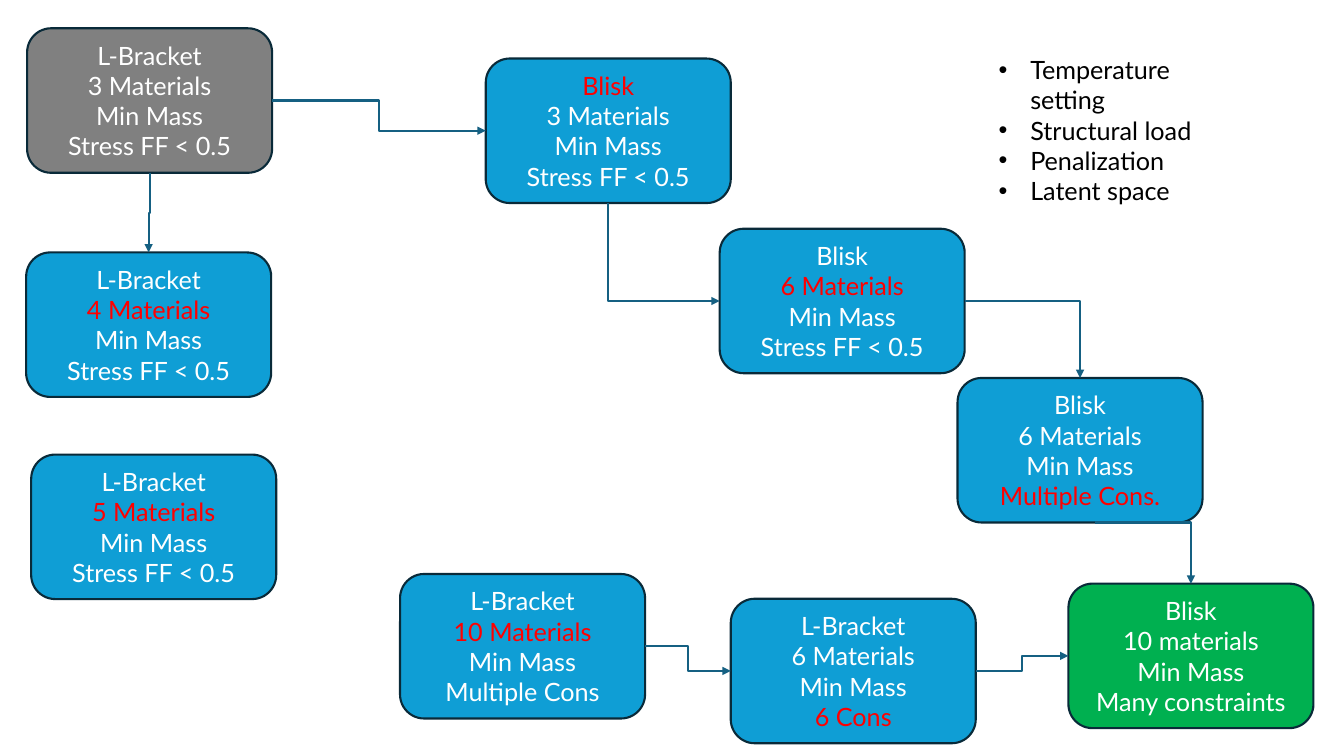
import pptx
import pptx.dml.color
import pptx.enum.shapes
import pptx.enum.text
import pptx.oxml
import pptx.oxml.ns
import pptx.util

Pt = pptx.util.Pt
qn = pptx.oxml.ns.qn
TOP, LEFT, BOTTOM, RIGHT = range(4)  # connection sites of a box
GREY, BLUE, GREEN = "808080", "0F9ED5", "00B050"


def color(value):
    return pptx.dml.color.RGBColor.from_string(value)


def style(font, value):
    font.name = "Lato"
    font.size = Pt(18)
    font.color.rgb = color(value)


deck = pptx.Presentation()
deck.slide_width, deck.slide_height = Pt(960), Pt(540)
page = deck.slides.add_slide(deck.slide_layouts[6])

# Study boxes: left, top, fill, lines of text, index of the red line
studies = {
    "start": (19.4, 20.2, GREY, "L-Bracket\v3 Materials\nMin Mass\nStress FF < 0.5", None),
    "bracket 4": (18.7, 180.3, BLUE, "L-Bracket\v4 Materials\nMin Mass\nStress FF < 0.5", 1),
    "bracket 5": (22.3, 324.7, BLUE, "L-Bracket\v5 Materials\nMin Mass\nStress FF < 0.5", 1),
    "bracket 10": (285.8, 410, BLUE, "L-Bracket\v10 Materials\nMin Mass\nMultiple Cons", 1),
    "bracket 6": (522, 427.7, BLUE, "L-Bracket\v6 Materials\nMin Mass\n6 Cons", 3),
    "blisk 3": (347, 41.8, BLUE, "Blisk\v3 Materials\nMin Mass\nStress FF < 0.5", 0),
    "blisk 6": (514.1, 163.4, BLUE, "Blisk\v6 Materials\nMin Mass\nStress FF < 0.5", 1),
    "blisk cons": (684, 270, BLUE, "Blisk\v6 Materials\nMin Mass\nMultiple Cons.", 3),
    "goal": (763.2, 416.9, GREEN, "Blisk\v10 materials\nMin Mass\nMany constraints", None),
}
boxes = {}
for name, (left, top, fill, text, red_line) in studies.items():
    box = page.shapes.add_shape(pptx.enum.shapes.MSO_SHAPE.ROUNDED_RECTANGLE,
                                Pt(left), Pt(top), Pt(175), Pt(103.2))
    box.shadow.inherit = False
    box.fill.solid()
    box.fill.fore_color.rgb = color(fill)
    box.line.color.rgb = color("092A39")
    box.line.width = Pt(1.5)
    box.text_frame.text = text
    box.text_frame.vertical_anchor = pptx.enum.text.MSO_ANCHOR.MIDDLE
    for para in box.text_frame.paragraphs:
        para.alignment = pptx.enum.text.PP_ALIGN.CENTER
        style(para.font, "FFFFFF")
    spans = [span for para in box.text_frame.paragraphs for span in para.runs]
    for index, span in enumerate(spans):
        style(span.font, "FF0000" if index == red_line else "FFFFFF")
    boxes[name] = box

# Elbow arrows: from, site, to, site, number of legs, quarter turn, mirrored
arrows = [
    ("start", BOTTOM, "bracket 4", TOP, 3, 90, False),
    ("start", RIGHT, "blisk 3", LEFT, 3, 0, False),
    ("blisk 3", BOTTOM, "blisk 6", LEFT, 2, 270, True),
    ("blisk 6", RIGHT, "blisk cons", TOP, 2, 0, False),
    (None, None, "goal", TOP, 2, 0, False),
    ("bracket 10", RIGHT, "bracket 6", LEFT, 3, 0, False),
    ("bracket 6", RIGHT, "goal", LEFT, 3, 0, False),
]
for source, exit_site, target, entry_site, legs, turn, mirrored in arrows:
    # The arrow without a source box starts on the lower edge of "blisk cons"
    arrow = page.shapes.add_connector(pptx.enum.shapes.MSO_CONNECTOR.ELBOW,
                                      Pt(782), Pt(373.2), Pt(850), Pt(417))
    if source:
        arrow.begin_connect(boxes[source], exit_site)
    arrow.end_connect(boxes[target], entry_site)
    arrow.line.color.rgb = color("156082")
    arrow.line.width = Pt(1.5)
    properties = arrow._element.spPr
    properties.find(qn("a:prstGeom")).set("prst", f"bentConnector{legs}")
    if turn:
        # A turned frame keeps its centre and swaps width and height
        width, height = arrow.width, arrow.height
        arrow.left += (width - height) // 2
        arrow.top += (height - width) // 2
        arrow.width, arrow.height = height, width
        frame = properties.find(qn("a:xfrm"))
        frame.set("rot", str(turn * 60000))
        frame.set("flipH", str(int(mirrored)))
        frame.set("flipV", "0")
    head = pptx.oxml.parse_xml(
        '<a:tailEnd xmlns:a="http://schemas.openxmlformats.org/drawingml/2006/main" type="triangle"/>')
    properties.find(qn("a:ln")).append(head)
    properties.append(properties.makeelement(qn("a:effectLst"), {}))

# Bulleted list of open topics
topics = page.shapes.add_textbox(Pt(706.3), Pt(35.3), Pt(190), Pt(94.3))
topics.text_frame.word_wrap = True
topics.text_frame.text = "Temperature setting\nStructural load\nPenalization\nLatent space"
for para in topics.text_frame.paragraphs:
    layout = para._p.get_or_add_pPr()
    layout.set("marL", str(Pt(22.5)))
    layout.set("indent", str(-Pt(22.5)))
    layout.append(layout.makeelement(qn("a:buFont"), {"typeface": "Arial"}))
    layout.append(layout.makeelement(qn("a:buChar"), {"char": "•"}))
    style(para.font, "000000")
    for span in para.runs:
        style(span.font, "000000")

deck.save("out.pptx")
